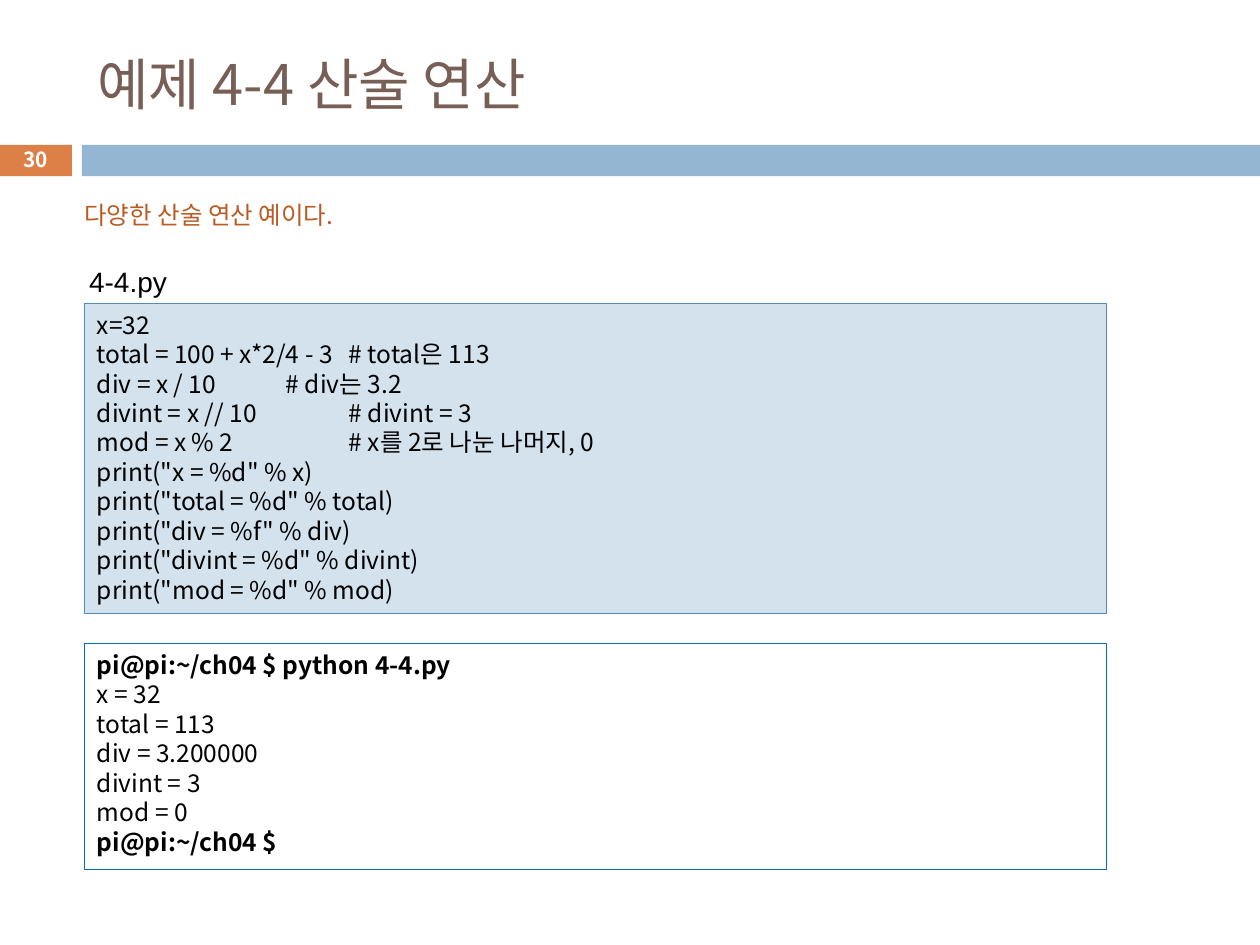
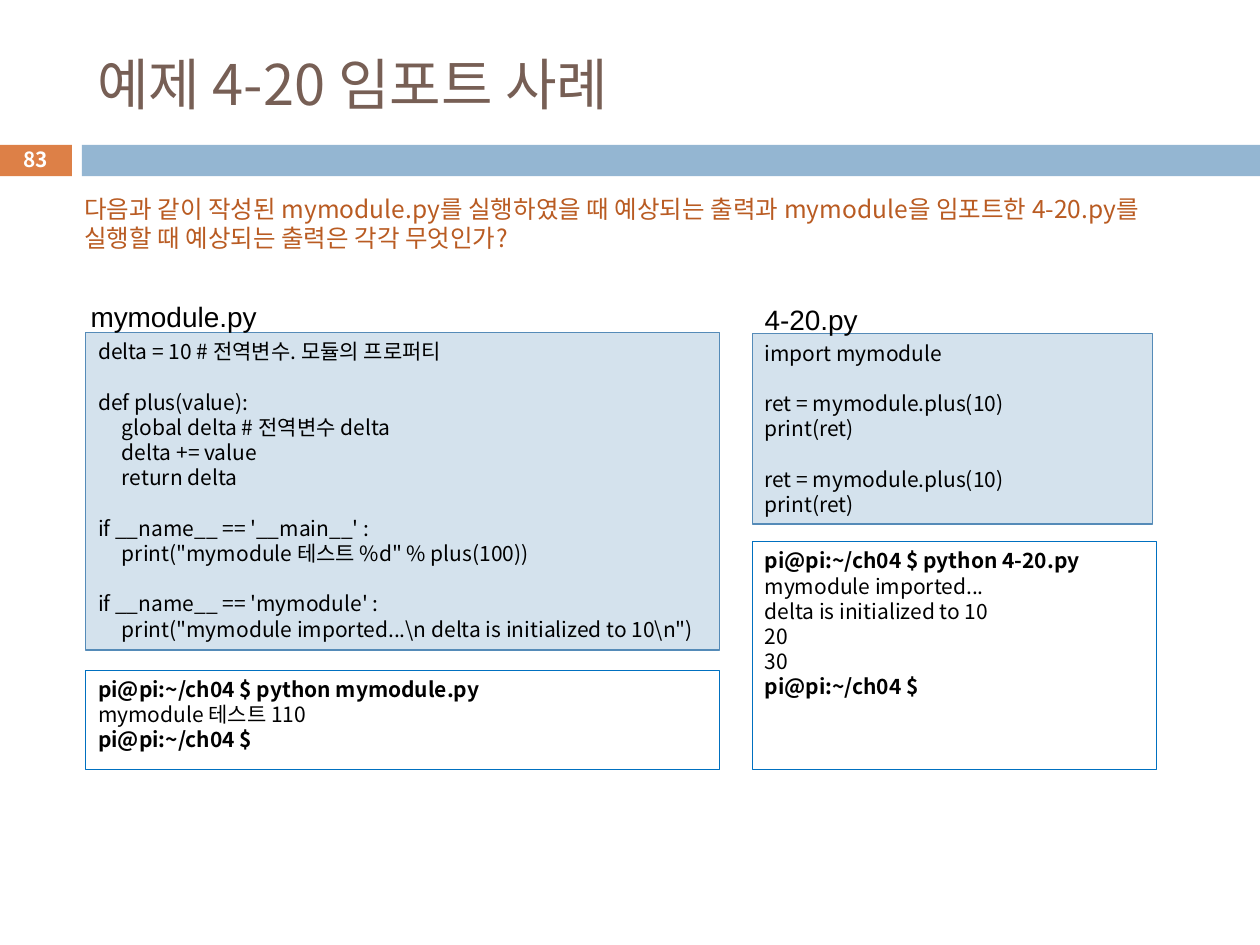
from lxml import etree
from pptx import Presentation
from pptx.dml.color import RGBColor
from pptx.enum.shapes import MSO_SHAPE as Form
from pptx.enum.text import MSO_ANCHOR as Anchor, PP_ALIGN as Align
from pptx.oxml.ns import qn
from pptx.util import Inches, Pt

SANS, LABEL = "Noto Sans CJK KR", "Arial"
INK = {"title": "775F55", "intro": "B95B22", "text": "000000", "num": "FFFFFF"}
BAND = {"num": "DD8047", "bar": "94B6D2"}
BOX = {"code": ("D4E2ED", "558BB8"), "run": ("FFFFFF", "0070C0")}
PROMPT = "pi@pi:~/ch04 $"
TAB = 0.19

# Each place is left, top, width, height in percent of the slide.
PAGES = [
    {
        "title": "예제 4-4 산술 연산",
        "num": "30",
        "size": 14,
        "intro": ("다양한 산술 연산 예이다.", (5.7, 20.53, 24.1, 4.53)),
        "boxes": [
            ("code", (6.7, 32.13, 81.1, 32.8), [
                "x=32",
                "total = 100 + x*2/4 - 3 \t# total은 113",
                "div = x / 10 \t\t# div는 3.2",
                "divint = x // 10 \t\t# divint = 3",
                "mod = x % 2 \t\t# x를 2로 나눈 나머지, 0",
                'print("x = %d" % x)',
                'print("total = %d" % total)',
                'print("div = %f" % div)',
                'print("divint = %d" % divint)',
                'print("mod = %d" % mod)',
            ]),
            ("run", (6.7, 68.13, 81.1, 23.87), [
                PROMPT + " python 4-4.py",
                "x = 32",
                "total = 113",
                "div = 3.200000",
                "divint = 3",
                "mod = 0",
                PROMPT,
            ]),
        ],
        "labels": [("4-4.py", (6.1, 25.2, 8.4, 6.27))],
    },
    {
        "title": "예제 4-20 임포트 사례",
        "num": "83",
        "size": 12,
        "intro": (
            "다음과 같이 작성된 mymodule.py를 실행하였을 때 예상되는 출력과 "
            "mymodule을 임포트한 4-20.py를 실행할 때 예상되는 출력은 각각 무엇인가?",
            (5.7, 19.87, 90.1, 7.6)),
        "boxes": [
            ("code", (6.8, 35.2, 50.3, 33.6), [
                "delta = 10 # 전역변수. 모듈의 프로퍼티",
                "",
                "def plus(value):",
                "\tglobal delta # 전역변수 delta",
                "\tdelta += value",
                "\treturn delta",
                "",
                "if __name__ == '__main__' :",
                '\tprint("mymodule 테스트 %d" % plus(100))',
                "",
                "if __name__ == 'mymodule' :",
                '\tprint("mymodule imported...\\n delta is initialized to 10\\n")',
            ]),
            ("code", (59.7, 35.33, 31.8, 20.13), [
                "import mymodule",
                "",
                "ret = mymodule.plus(10)",
                "print(ret)",
                "",
                "ret = mymodule.plus(10)",
                "print(ret)",
            ]),
            ("run", (6.8, 70.93, 50.3, 10.53), [
                PROMPT + " python mymodule.py",
                "mymodule 테스트 110",
                PROMPT,
            ]),
            ("run", (59.7, 57.33, 32.1, 24.13), [
                PROMPT + " python 4-20.py",
                "mymodule imported...",
                "delta is initialized to 10",
                "20",
                "30",
                PROMPT,
            ]),
        ],
        "labels": [
            ("mymodule.py", (6.2, 28.93, 15.8, 6.27)),
            ("4-20.py", (59.7, 29.2, 9.6, 6.27)),
        ],
    },
]

deck = Presentation()
deck.slide_width, deck.slide_height = Inches(10), Inches(7.5)


def color(code):
    return RGBColor.from_string(code)


def spot(place):
    sides = (deck.slide_width, deck.slide_height) * 2
    return [round(part * side / 100) for part, side in zip(place, sides)]


def style(para, size, ink, face=SANS, bold=False, align=Align.LEFT, gap=None):
    para.alignment = align
    para.line_spacing = gap or Pt(size * 1.2)
    for item in [para, *para.runs]:
        font = item.font
        font.name, font.size, font.bold = face, Pt(size), bold
        font.color.rgb = color(ink)
    for run in para.runs:
        props = run.font.color and run._r.get_or_add_rPr()
        etree.SubElement(props, qn("a:ea")).set("typeface", face)


def add_tab(para):
    stops = etree.SubElement(para._p.get_or_add_pPr(), qn("a:tabLst"))
    stop = etree.SubElement(stops, qn("a:tab"))
    stop.set("pos", str(Inches(TAB)))
    stop.set("algn", "l")


def add_rect(slide, place, fill, line=None):
    rect = slide.shapes.add_shape(Form.RECTANGLE, *spot(place))
    rect.shadow.inherit = False
    rect.fill.solid()
    rect.fill.fore_color.rgb = color(fill)
    if line:
        rect.line.color.rgb = color(line)
        rect.line.width = Pt(0.75)
    else:
        rect.line.fill.background()
    return rect


def add_text(slide, text, place, size, ink, wrap=False, **look):
    frame = slide.shapes.add_textbox(*spot(place)).text_frame
    frame.word_wrap = wrap
    frame.text = text
    style(frame.paragraphs[0], size, ink, **look)
    return frame


def add_box(slide, kind, place, lines, size):
    frame = add_rect(slide, place, *BOX[kind]).text_frame
    frame.word_wrap = True
    frame.vertical_anchor = Anchor.TOP
    frame.text = "\n".join(lines)
    for para, line in zip(frame.paragraphs, lines):
        if line.startswith("\t"):
            add_tab(para)
        style(para, size, INK["text"], bold=line.startswith(PROMPT))


def add_head(slide, title, num):
    add_rect(slide, (-0.1, 15.33, 5.8, 3.33), BAND["num"])
    add_rect(slide, (6.5, 15.33, 93.5, 3.33), BAND["bar"])
    head = slide.shapes.title
    head.left, head.top, head.width, head.height = spot((6.7, 3.33, 89.2, 10.93))
    frame = head.text_frame
    frame.text = title
    frame.vertical_anchor = Anchor.MIDDLE
    style(frame.paragraphs[0], 32, INK["title"])
    frame = add_text(slide, num, (-0.1, 15.07, 5.8, 3.6), 11.9, INK["num"],
                     wrap=True, bold=True, align=Align.CENTER)
    frame.vertical_anchor = Anchor.MIDDLE


def add_page(page):
    slide = deck.slides.add_slide(deck.slide_layouts[5])
    add_head(slide, page["title"], page["num"])
    text, place = page["intro"]
    add_text(slide, text, place, 14, INK["intro"], wrap=place[2] > 50)
    for kind, place, lines in page["boxes"]:
        add_box(slide, kind, place, lines, page["size"])
    for text, place in page["labels"]:
        add_text(slide, text, place, 16, INK["text"], face=LABEL,
                 align=Align.JUSTIFY, gap=1.6)


for page in PAGES:
    add_page(page)
deck.save("out.pptx")
